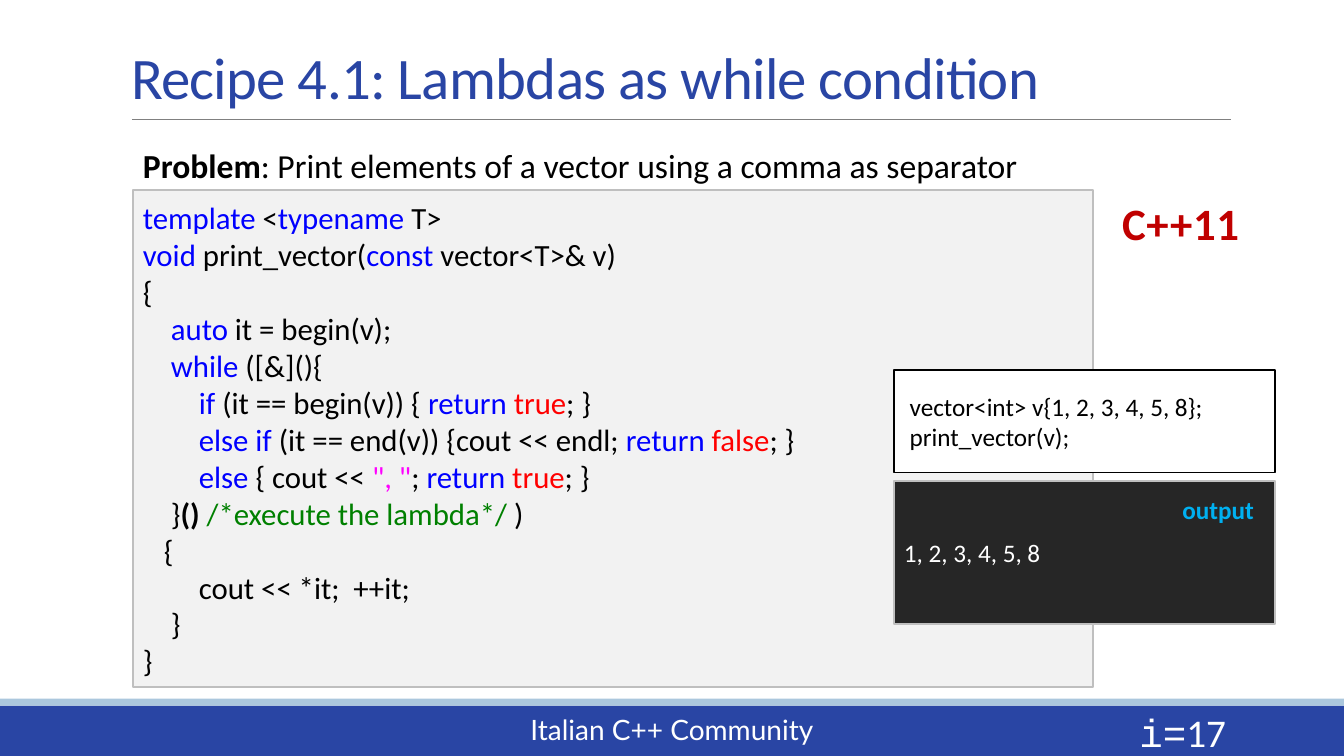
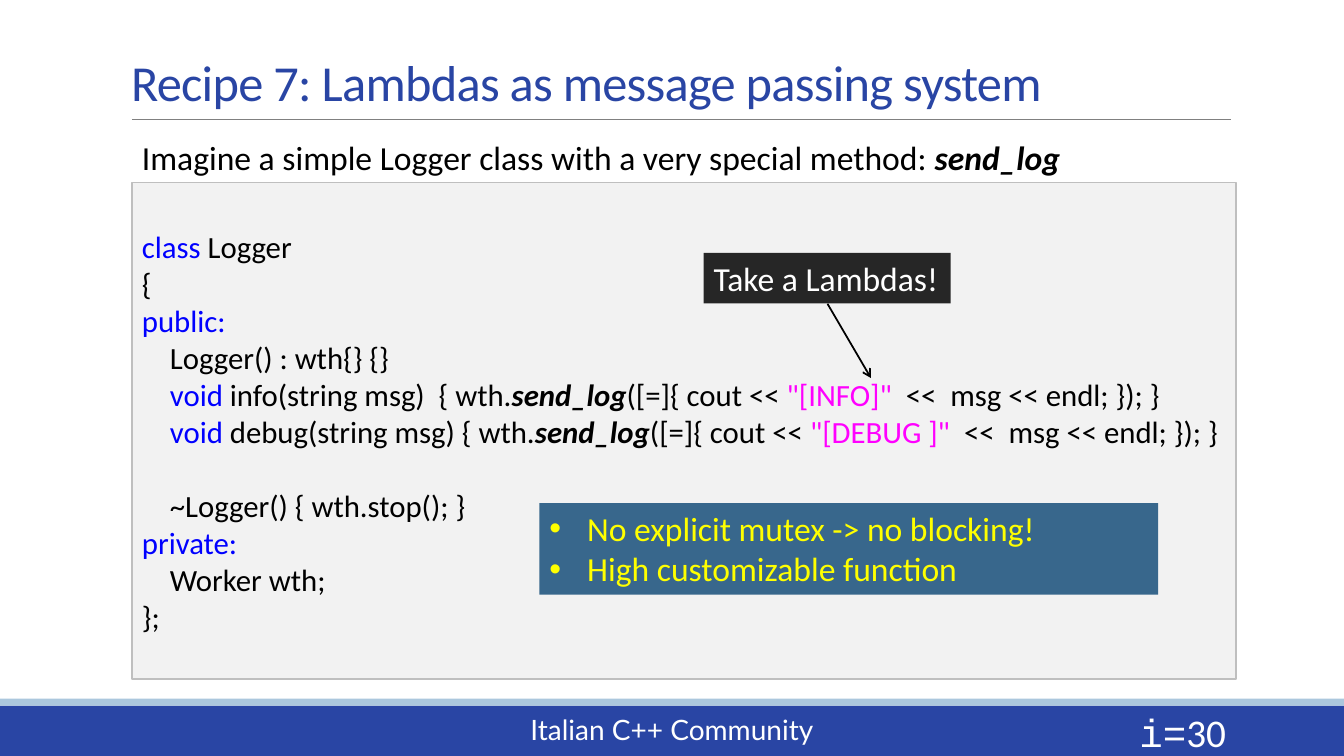
import pptx
import pptx.util
import pptx.dml.color
import pptx.enum.shapes
import pptx.enum.text
import pptx.oxml.ns
import lxml.etree

Pt = pptx.util.Pt
RGBColor = pptx.dml.color.RGBColor
RECTANGLE = pptx.enum.shapes.MSO_SHAPE.RECTANGLE
STRAIGHT = pptx.enum.shapes.MSO_CONNECTOR.STRAIGHT
ANCHOR = pptx.enum.text.MSO_ANCHOR
ALIGN = pptx.enum.text.PP_ALIGN
NO_AUTOSIZE = pptx.enum.text.MSO_AUTO_SIZE.NONE
qn = pptx.oxml.ns.qn

BLACK = RGBColor(0x00, 0x00, 0x00)
WHITE = RGBColor(0xFF, 0xFF, 0xFF)
BLUE = RGBColor(0x29, 0x45, 0xA4)
PALE_BLUE = RGBColor(0xAB, 0xC7, 0xDD)
STEEL = RGBColor(0x38, 0x67, 0x8C)
RULE_GRAY = RGBColor(0x80, 0x80, 0x80)
EDGE_GRAY = RGBColor(0xBF, 0xBF, 0xBF)
CODE_GRAY = RGBColor(0xF2, 0xF2, 0xF2)
DARK = RGBColor(0x26, 0x26, 0x26)
YELLOW = RGBColor(0xFF, 0xFF, 0x00)

# Text styles: colour, bold, italic, font
PLAIN = (BLACK, False, False, "Calibri")
BOLD = (BLACK, True, False, "Calibri")
METHOD = (BLACK, True, True, "Calibri")
KEYWORD = (RGBColor(0x00, 0x00, 0xFF), False, False, "Calibri")
LITERAL = (RGBColor(0xFF, 0x00, 0x00), False, False, "Calibri")
STRING = (RGBColor(0xFF, 0x00, 0xFF), False, False, "Calibri")
REMARK = (RGBColor(0x00, 0x80, 0x00), False, False, "Calibri")
TITLE = (BLUE, False, False, "Calibri")
LIGHT = (WHITE, False, False, "Calibri")
LIGHT_MONO = (WHITE, False, False, "Courier New")
FOOTER = (WHITE, False, False, "Lato")
STANDARD = (RGBColor(0xC0, 0x00, 0x00), True, False, "Calibri")
OUTPUT = (RGBColor(0x00, 0xB0, 0xF0), True, False, "Calibri")
BENEFIT = (YELLOW, False, False, "Calibri")

SPACE_WIDTH = 5  # one column of code indent
CODE_LINE = 26.5  # height of one line of code


def write_line(paragraph, runs, size, align=ALIGN.LEFT, spacing=0):
    paragraph.alignment = align
    for text, (color, bold, italic, font_name) in runs:
        run = paragraph.add_run()
        run.text = text
        run.font.size = Pt(size)
        run.font.name = font_name
        run.font.bold = bold
        run.font.italic = italic
        run.font.color.rgb = color
        if spacing:
            run._r.get_or_add_rPr().set("spc", str(spacing))


def add_box(slide, place, lines, size, fill=None, edge=None, anchor=ANCHOR.TOP,
            align=ALIGN.LEFT, wrap=True, spacing=0):
    place = [Pt(value) for value in place]
    if fill is None:
        shape = slide.shapes.add_textbox(*place)
    else:
        shape = slide.shapes.add_shape(RECTANGLE, *place)
        shape.shadow.inherit = False
        shape.fill.solid()
        shape.fill.fore_color.rgb = fill
        if edge is None:
            shape.line.fill.background()
        else:
            shape.line.color.rgb = edge
            shape.line.width = Pt(1.25)
    frame = shape.text_frame
    frame.word_wrap = wrap
    frame.vertical_anchor = anchor
    for number, runs in enumerate(lines):
        paragraph = frame.add_paragraph() if number else frame.paragraphs[0]
        write_line(paragraph, runs, size, align, spacing)
    return shape


# Code listings: indent in columns, then the runs of the line
VECTOR_CODE = [
    (0, [("template", KEYWORD), (" <", PLAIN), ("typename ", KEYWORD), ("T>", PLAIN)]),
    (0, [("void ", KEYWORD), ("print_vector(", PLAIN), ("const ", KEYWORD),
         ("vector<T>& v)", PLAIN)]),
    (0, [("{", PLAIN)]),
    (4, [("auto", KEYWORD), (" it = begin(v);", PLAIN)]),
    (4, [("while", KEYWORD), (" ([&](){", PLAIN)]),
    (8, [("if", KEYWORD), (" (it == begin(v)) { ", PLAIN), ("return ", KEYWORD),
         ("true", LITERAL), ("; }", PLAIN)]),
    (8, [("else if", KEYWORD), (" (it == end(v)) {cout << endl; ", PLAIN),
         ("return ", KEYWORD), ("false", LITERAL), ("; }", PLAIN)]),
    (8, [("else", KEYWORD), (" { cout << ", PLAIN), ('", "', STRING), ("; ", PLAIN),
         ("return ", KEYWORD), ("true", LITERAL), ("; }", PLAIN)]),
    (4, [("}", PLAIN), ("() ", BOLD), ("/*execute the lambda*/ ", REMARK), (")", PLAIN)]),
    (3, [("{", PLAIN)]),
    (8, [("cout << *it;  ++it;", PLAIN)]),
    (4, [("}", PLAIN)]),
    (0, [("}", PLAIN)]),
]
LOGGER_CODE = [
    (0, [("class", KEYWORD), (" Logger", PLAIN)]),
    (0, [("{", PLAIN)]),
    (0, [("public:", KEYWORD)]),
    (4, [("Logger() : wth{} {}", PLAIN)]),
    (4, [("void", KEYWORD), (" info(string msg)  { wth.", PLAIN), ("send_log", METHOD),
         ("([=]{ cout << ", PLAIN), ('"[INFO]"  ', STRING),
         ("<<  msg << endl; }); }", PLAIN)]),
    (4, [("void", KEYWORD), (" debug(string msg) { wth.", PLAIN), ("send_log", METHOD),
         ("([=]{ cout << ", PLAIN), ('"[DEBUG ]"  ', STRING),
         ("<<  msg << endl; }); }", PLAIN)]),
    (4, [("~Logger() { wth.stop(); }", PLAIN)]),
    (0, [("private:", KEYWORD)]),
    (4, [("Worker wth;", PLAIN)]),
    (0, [("};", PLAIN)]),
]

presentation = pptx.Presentation()
presentation.slide_width = Pt(960)
presentation.slide_height = Pt(540)
master = presentation.slide_master
vector_slide = presentation.slides.add_slide(presentation.slide_layouts[5])
logger_slide = presentation.slides.add_slide(presentation.slide_layouts[1])

# Master: title place, bands, rule and footer
master_title = next(shape for shape in master.placeholders
                    if shape.placeholder_format.type == pptx.enum.shapes.PP_PLACEHOLDER.TITLE)
master_title.left, master_title.top = Pt(86.4), Pt(0.7)
master_title.width, master_title.height = Pt(792), Pt(82.8)
master_title.text_frame.vertical_anchor = ANCHOR.BOTTOM

rule = vector_slide.shapes.add_connector(STRAIGHT, Pt(94.3), Pt(85), Pt(879), Pt(85))
rule.line.color.rgb = RULE_GRAY
rule.line.width = Pt(0.5)
lxml.etree.SubElement(rule.element.spPr, qn("a:effectLst"))
shared_shapes = [
    add_box(vector_slide, (0, 504, 960, 36), [], 20, BLUE),
    add_box(vector_slide, (0, 499, 960, 5), [], 20, PALE_BLUE),
    rule,
    add_box(vector_slide, (0, 505.4, 960, 31.7), [[("Italian C++ Community", FOOTER)]], 20,
            align=ALIGN.CENTER),
]
for number, shape in enumerate(shared_shapes):
    shape.element.xpath(".//p:cNvPr")[0].set("id", str(100 + number))
    master.shapes.element.append(shape.element)

# Both slides: title, page number, problem line and code listing
contents = [
    (vector_slide, "Recipe 4.1: Lambdas as while condition", 42, "17", (95, 100, 686),
     [("Problem", BOLD), (": Print elements of a vector using a comma as separator", PLAIN)],
     VECTOR_CODE),
    (logger_slide, "Recipe 7: Lambdas as message passing system", 36, "30",
     (94.3, 94.3, 788.4),
     [("Imagine a simple Logger class with a very special method: ", PLAIN),
      ("send_log", METHOD)],
     LOGGER_CODE),
]
for slide, title, title_size, page, (left, top, width), problem, code in contents:
    title_frame = slide.shapes.title.text_frame
    title_frame.auto_size = NO_AUTOSIZE
    title_frame.paragraphs[0].line_spacing = 0.85
    write_line(title_frame.paragraphs[0], [(title, TITLE)], title_size, spacing=-50)
    add_box(slide, (779.8, 508.3, 103, 28.8), [[("i=", LIGHT_MONO), (page, LIGHT)]], 28,
            anchor=ANCHOR.MIDDLE, align=ALIGN.RIGHT)
    add_box(slide, (left, top, width, 36), [problem], 24)
    listing = add_box(slide, (left, top + 36, width, 355), [runs for indent, runs in code],
                      22, CODE_GRAY, EDGE_GRAY, ANCHOR.MIDDLE)
    for paragraph, (indent, runs) in zip(listing.text_frame.paragraphs, code):
        paragraph._p.get_or_add_pPr().set("marL", str(Pt(indent * SPACE_WIDTH)))
        if paragraph.text.startswith("~"):
            paragraph.space_before = Pt(CODE_LINE)

# Vector slide: language version, sample call and its output
add_box(vector_slide, (793.4, 136.1, 100, 46), [[("C++11", STANDARD)]], 32,
        align=ALIGN.CENTER, wrap=False, spacing=50)
add_box(vector_slide, (638.6, 343.4, 272.2, 102.2), [[("1, 2, 3, 4, 5, 8", LIGHT)]], 18,
        DARK, EDGE_GRAY, ANCHOR.MIDDLE)
sample = add_box(vector_slide, (638.6, 264.2, 272.2, 73.4),
                 [[("vector<int> v{1, 2, 3, 4, 5, 8};", PLAIN)], [("print_vector(v);", PLAIN)]],
                 18, WHITE, BLACK, ANCHOR.MIDDLE)
sample.text_frame.margin_left = Pt(11.2)
add_box(vector_slide, (837.4, 349.9, 66.2, 28.8), [[("output", OUTPUT)]], 18, wrap=False)

# Logger slide: callout with arrow
add_box(logger_slide, (502.6, 180.7, 176.4, 36), [[("Take a Lambdas!", LIGHT)]], 24, DARK,
        wrap=False)
arrow = logger_slide.shapes.add_connector(STRAIGHT, Pt(591.1), Pt(217), Pt(622.1), Pt(270))
arrow.line.color.rgb = BLACK
arrow.line.width = Pt(1.25)
lxml.etree.SubElement(arrow.line._get_or_add_ln(), qn("a:tailEnd"), type="arrow")
lxml.etree.SubElement(arrow.element.spPr, qn("a:effectLst"))

# Logger slide: list of benefits, in front of the code
benefits = logger_slide.placeholders[1]
benefits.left, benefits.top = Pt(385.2), Pt(359.3)
benefits.width, benefits.height = Pt(442.1), Pt(65.5)
benefits.fill.solid()
benefits.fill.fore_color.rgb = STEEL
frame = benefits.text_frame
frame.auto_size = NO_AUTOSIZE
for number, text in enumerate(["No explicit mutex -> no blocking!",
                               "High customizable function"]):
    paragraph = frame.add_paragraph() if number else frame.paragraphs[0]
    write_line(paragraph, [(text, BENEFIT)], 24)
    paragraph.space_before = Pt(0)
    properties = paragraph._p.get_or_add_pPr()
    properties.set("marL", str(Pt(27)))
    properties.set("indent", str(Pt(-27)))
    lxml.etree.SubElement(properties, qn("a:buFont"), typeface="Arial")
    lxml.etree.SubElement(properties, qn("a:buChar"), char="•")
logger_slide.shapes.element.append(benefits.element)

presentation.save("out.pptx")
